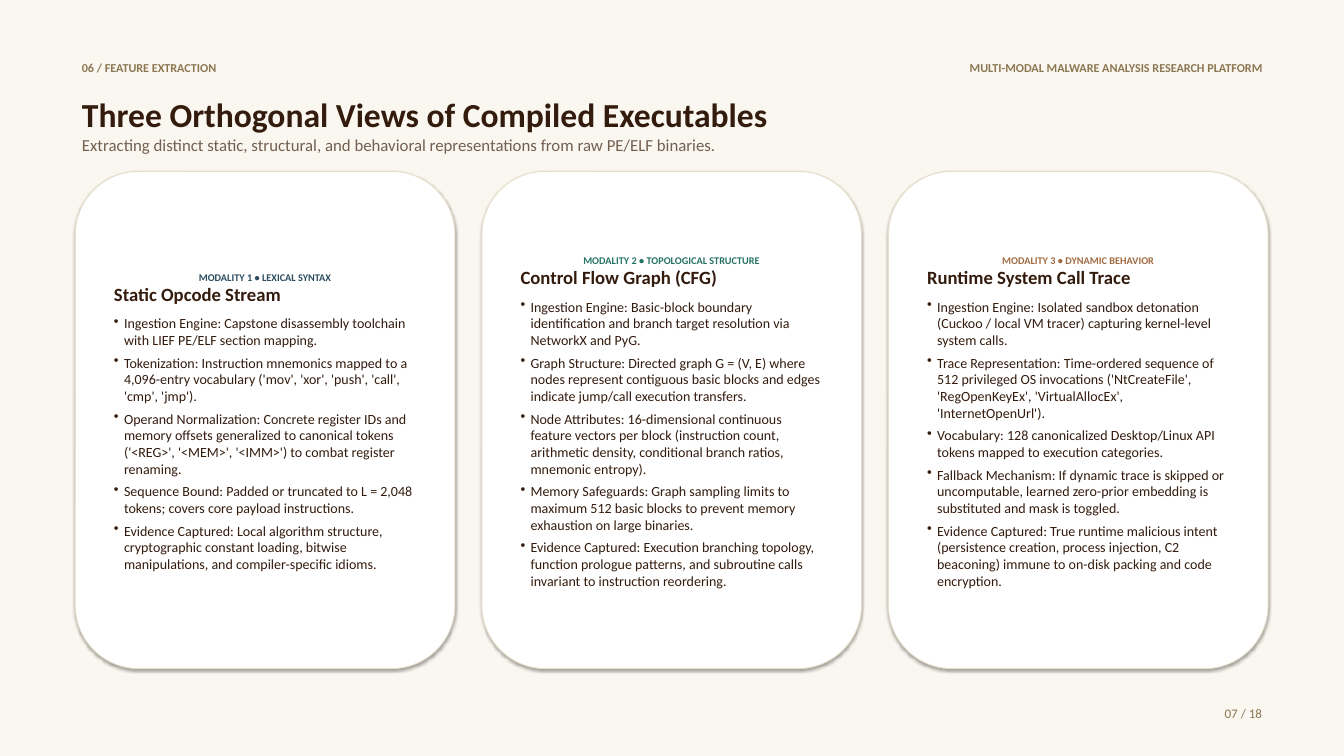
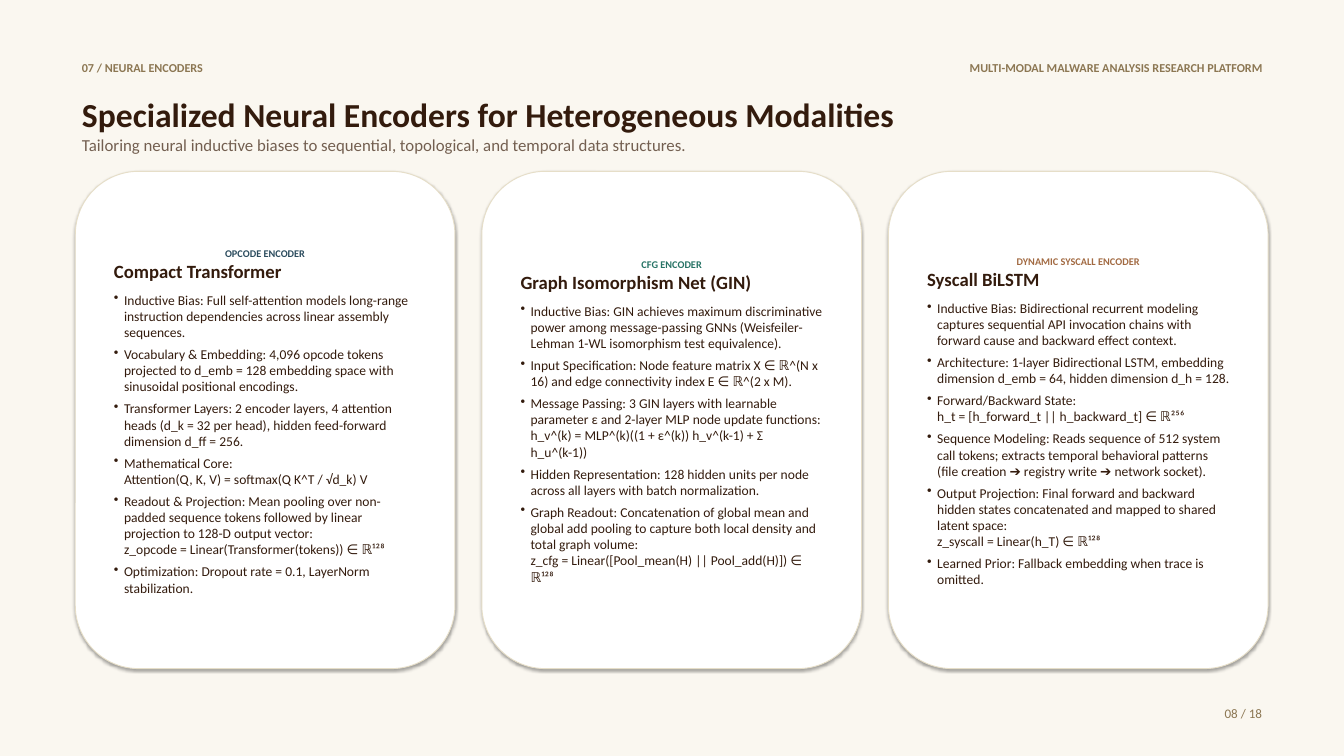
from lxml.etree import SubElement
from pptx import Presentation
from pptx.dml.color import RGBColor
from pptx.enum.shapes import MSO_SHAPE
from pptx.enum.text import MSO_ANCHOR, MSO_AUTO_SIZE, PP_ALIGN
from pptx.oxml.ns import qn
from pptx.util import Inches, Pt

# Shared look
FONT = "Calibri"
CREAM = RGBColor(0xFA, 0xF7, 0xF0)
WHITE = RGBColor(0xFF, 0xFF, 0xFF)
BORDER = RGBColor(0xE6, 0xDE, 0xC8)
TAN = RGBColor(0x8C, 0x77, 0x53)
BROWN = RGBColor(0x33, 0x1B, 0x0D)
TAUPE = RGBColor(0x73, 0x5F, 0x50)
CARD_ACCENTS = [
    RGBColor(0x2B, 0x4C, 0x5E),
    RGBColor(0x26, 0x73, 0x65),
    RGBColor(0xA2, 0x6A, 0x42),
]
PLATFORM = "MULTI-MODAL MALWARE ANALYSIS RESEARCH PLATFORM"
SLIDE_TOTAL = 18

# Layout in inches
LEFT, RIGHT = 1.12, 18.88
CARD_TOP, CARD_WIDTH, CARD_HEIGHT, CARD_GAP = 2.55, 5.65, 7.4, 0.4
CARD_INSET, BULLET_INDENT = 0.3, 0.15

# Content: each card is (label, name, points)
SLIDES = [
    {
        "section": "06 / FEATURE EXTRACTION",
        "number": 7,
        "title": "Three Orthogonal Views of Compiled Executables",
        "subtitle": "Extracting distinct static, structural, and behavioral "
                    "representations from raw PE/ELF binaries.",
        "point_size": 15,
        "cards": [
            ("MODALITY 1 • LEXICAL SYNTAX", "Static Opcode Stream", [
                "Ingestion Engine: Capstone disassembly toolchain with LIEF PE/ELF "
                "section mapping.",
                "Tokenization: Instruction mnemonics mapped to a 4,096-entry vocabulary "
                "('mov', 'xor', 'push', 'call', 'cmp', 'jmp').",
                "Operand Normalization: Concrete register IDs and memory offsets "
                "generalized to canonical tokens ('<REG>', '<MEM>', '<IMM>') to combat "
                "register renaming.",
                "Sequence Bound: Padded or truncated to L = 2,048 tokens; covers core "
                "payload instructions.",
                "Evidence Captured: Local algorithm structure, cryptographic constant "
                "loading, bitwise manipulations, and compiler-specific idioms.",
            ]),
            ("MODALITY 2 • TOPOLOGICAL STRUCTURE", "Control Flow Graph (CFG)", [
                "Ingestion Engine: Basic-block boundary identification and branch target "
                "resolution via NetworkX and PyG.",
                "Graph Structure: Directed graph G = (V, E) where nodes represent "
                "contiguous basic blocks and edges indicate jump/call execution transfers.",
                "Node Attributes: 16-dimensional continuous feature vectors per block "
                "(instruction count, arithmetic density, conditional branch ratios, "
                "mnemonic entropy).",
                "Memory Safeguards: Graph sampling limits to maximum 512 basic blocks to "
                "prevent memory exhaustion on large binaries.",
                "Evidence Captured: Execution branching topology, function prologue "
                "patterns, and subroutine calls invariant to instruction reordering.",
            ]),
            ("MODALITY 3 • DYNAMIC BEHAVIOR", "Runtime System Call Trace", [
                "Ingestion Engine: Isolated sandbox detonation (Cuckoo / local VM tracer) "
                "capturing kernel-level system calls.",
                "Trace Representation: Time-ordered sequence of 512 privileged OS "
                "invocations ('NtCreateFile', 'RegOpenKeyEx', 'VirtualAllocEx', "
                "'InternetOpenUrl').",
                "Vocabulary: 128 canonicalized Desktop/Linux API tokens mapped to "
                "execution categories.",
                "Fallback Mechanism: If dynamic trace is skipped or uncomputable, learned "
                "zero-prior embedding is substituted and mask is toggled.",
                "Evidence Captured: True runtime malicious intent (persistence creation, "
                "process injection, C2 beaconing) immune to on-disk packing and code "
                "encryption.",
            ]),
        ],
    },
    {
        "section": "07 / NEURAL ENCODERS",
        "number": 8,
        "title": "Specialized Neural Encoders for Heterogeneous Modalities",
        "subtitle": "Tailoring neural inductive biases to sequential, topological, "
                    "and temporal data structures.",
        "point_size": 14.5,
        "cards": [
            ("OPCODE ENCODER", "Compact Transformer", [
                "Inductive Bias: Full self-attention models long-range instruction "
                "dependencies across linear assembly sequences.",
                "Vocabulary & Embedding: 4,096 opcode tokens projected to d_emb = 128 "
                "embedding space with sinusoidal positional encodings.",
                "Transformer Layers: 2 encoder layers, 4 attention heads (d_k = 32 per "
                "head), hidden feed-forward dimension d_ff = 256.",
                "Mathematical Core:\nAttention(Q, K, V) = softmax(Q K^T / √d_k) V",
                "Readout & Projection: Mean pooling over non-padded sequence tokens "
                "followed by linear projection to 128-D output vector:\n"
                "z_opcode = Linear(Transformer(tokens)) ∈ ℝ¹²⁸",
                "Optimization: Dropout rate = 0.1, LayerNorm stabilization.",
            ]),
            ("CFG ENCODER", "Graph Isomorphism Net (GIN)", [
                "Inductive Bias: GIN achieves maximum discriminative power among "
                "message-passing GNNs (Weisfeiler-Lehman 1-WL isomorphism test "
                "equivalence).",
                "Input Specification: Node feature matrix X ∈ ℝ^(N x 16) and edge "
                "connectivity index E ∈ ℝ^(2 x M).",
                "Message Passing: 3 GIN layers with learnable parameter ε and 2-layer MLP "
                "node update functions:\n"
                "h_v^(k) = MLP^(k)((1 + ε^(k)) h_v^(k-1) + Σ h_u^(k-1))",
                "Hidden Representation: 128 hidden units per node across all layers with "
                "batch normalization.",
                "Graph Readout: Concatenation of global mean and global add pooling to "
                "capture both local density and total graph volume:\n"
                "z_cfg = Linear([Pool_mean(H) || Pool_add(H)]) ∈ ℝ¹²⁸",
            ]),
            ("DYNAMIC SYSCALL ENCODER", "Syscall BiLSTM", [
                "Inductive Bias: Bidirectional recurrent modeling captures sequential API "
                "invocation chains with forward cause and backward effect context.",
                "Architecture: 1-layer Bidirectional LSTM, embedding dimension d_emb = 64, "
                "hidden dimension d_h = 128.",
                "Forward/Backward State:\nh_t = [h_forward_t || h_backward_t] ∈ ℝ²⁵⁶",
                "Sequence Modeling: Reads sequence of 512 system call tokens; extracts "
                "temporal behavioral patterns (file creation ➔ registry write ➔ network "
                "socket).",
                "Output Projection: Final forward and backward hidden states concatenated "
                "and mapped to shared latent space:\nz_syscall = Linear(h_T) ∈ ℝ¹²⁸",
                "Learned Prior: Fallback embedding when trace is omitted.",
            ]),
        ],
    },
]


def write(paragraph, text, size, color, bold=False, align=PP_ALIGN.LEFT, after=0):
    paragraph.text = text
    paragraph.alignment = align
    paragraph.space_after = Pt(after)
    font = paragraph.font
    font.name, font.size, font.bold = FONT, Pt(size), bold
    font.color.rgb = color


def add_label(slide, left, top, width, text, size, bold=False, align=PP_ALIGN.LEFT):
    box = slide.shapes.add_textbox(Inches(left), Inches(top), Inches(width), Inches(0.35))
    frame = box.text_frame
    frame.word_wrap = True
    frame.auto_size = MSO_AUTO_SIZE.SHAPE_TO_FIT_TEXT
    write(frame.paragraphs[0], text, size, TAN, bold, align)


def set_bullet(paragraph):
    properties = paragraph._p.get_or_add_pPr()
    properties.set("marL", str(Inches(BULLET_INDENT)))
    properties.set("indent", str(-Inches(BULLET_INDENT)))
    SubElement(properties, qn("a:buChar"), char="•")


def add_heading(slide, title, subtitle):
    heading = slide.shapes.title
    heading.left, heading.top = Inches(LEFT), Inches(1.35)
    heading.width, heading.height = Inches(RIGHT - LEFT), Inches(1.1)
    frame = heading.text_frame
    frame.word_wrap = True
    frame.auto_size = MSO_AUTO_SIZE.NONE
    frame.vertical_anchor = MSO_ANCHOR.TOP
    write(frame.paragraphs[0], title, 36, BROWN, True)
    write(frame.add_paragraph(), subtitle, 18, TAUPE)


def add_card(slide, column, label, name, points, point_size):
    left = LEFT + column * (CARD_WIDTH + CARD_GAP)
    # Cards keep the soft shadow of the theme
    card = slide.shapes.add_shape(MSO_SHAPE.ROUNDED_RECTANGLE, Inches(left), Inches(CARD_TOP),
                                  Inches(CARD_WIDTH), Inches(CARD_HEIGHT))
    card.fill.solid()
    card.fill.fore_color.rgb = WHITE
    card.line.color.rgb = BORDER
    card.line.width = Pt(1)

    frame = card.text_frame
    frame.word_wrap = True
    frame.vertical_anchor = MSO_ANCHOR.MIDDLE
    frame.margin_left = Inches(CARD_INSET)
    frame.margin_right = Inches(CARD_INSET - BULLET_INDENT)
    frame.margin_top, frame.margin_bottom = Inches(0.25), Inches(0.2)

    label_paragraph = frame.paragraphs[0]
    label_paragraph._p.get_or_add_pPr().set("marR", str(Inches(BULLET_INDENT)))
    write(label_paragraph, label, 11, CARD_ACCENTS[column], True, PP_ALIGN.CENTER)
    write(frame.add_paragraph(), name, 20, BROWN, True, after=10)
    for point in points:
        paragraph = frame.add_paragraph()
        set_bullet(paragraph)
        write(paragraph, point, point_size, BROWN, after=6)


def build_slide(presentation, content):
    slide = presentation.slides.add_slide(presentation.slide_layouts[5])
    # Header band and heading
    add_label(slide, LEFT, 0.85, 8.5, content["section"], 13, True)
    add_label(slide, 10, 0.85, RIGHT - 10, PLATFORM, 13, True, PP_ALIGN.RIGHT)
    add_heading(slide, content["title"], content["subtitle"])
    # Three cards
    for column, (label, name, points) in enumerate(content["cards"]):
        add_card(slide, column, label, name, points, content["point_size"])
    # Page number
    page = f"{content['number']:02} / {SLIDE_TOTAL}"
    add_label(slide, RIGHT - 5, 10.45, 5, page, 14, align=PP_ALIGN.RIGHT)


def main():
    presentation = Presentation()
    presentation.slide_width, presentation.slide_height = Inches(20), Inches(11.25)
    background = presentation.slide_master.background.fill
    background.solid()
    background.fore_color.rgb = CREAM
    for content in SLIDES:
        build_slide(presentation, content)
    presentation.save("out.pptx")


if __name__ == "__main__":
    main()
